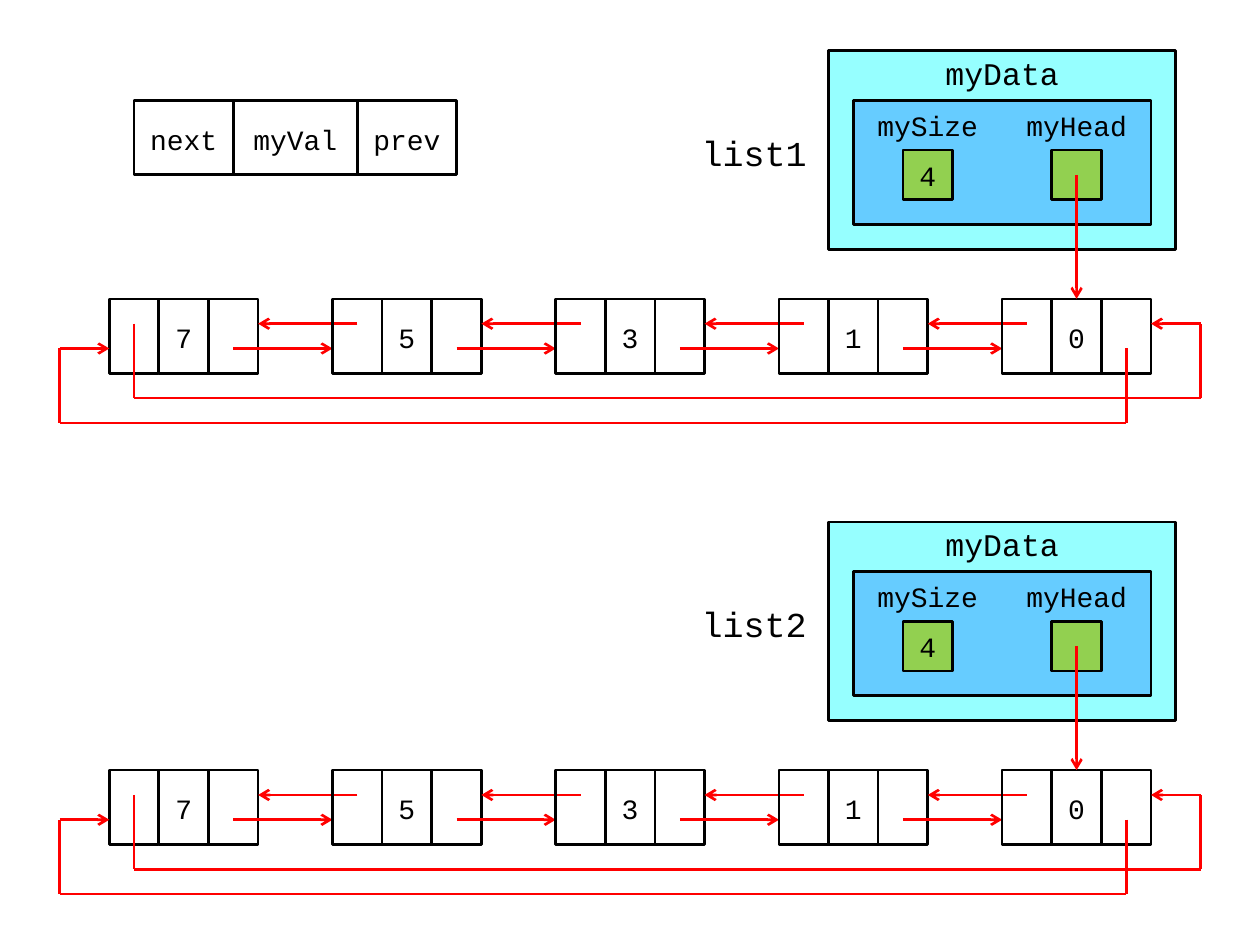
from itertools import pairwise

from lxml.etree import SubElement
from pptx import Presentation
from pptx.dml.color import RGBColor
from pptx.enum.shapes import MSO_CONNECTOR as Connector, MSO_SHAPE as Shape
from pptx.enum.text import MSO_ANCHOR as Anchor, PP_ALIGN as Align
from pptx.oxml.ns import qn
from pptx.util import Inches, Pt

# Everything sits on a half-centimetre grid.
UNIT = 0.5 / 2.54
LEFT, TOP = 0.08, 0.01
LIST_STEP = 19
NODE_STEP = 9
VALUES = ["7", "5", "3", "1", "0"]

BLACK, RED = "000000", "FF0000"
CYAN, BLUE, GREEN = "96FFFF", "66CCFF", "92D050"
CELL_INSETS = (0.1, 0.06, 0.1, 0.04)
PLAIN_INSETS = (0.1, 0.05, 0.1, 0.05)


def color(value):
    """Turn a hex string into a colour."""
    return RGBColor.from_string(value)


def grid(column, row):
    """Give the slide position of a grid point."""
    return Inches(LEFT + column * UNIT), Inches(TOP + row * UNIT)


def area(column, row, width, height):
    """Give position and size of a grid area."""
    return *grid(column, row), Inches(width * UNIT), Inches(height * UNIT)


def write(shape, text, size=16, insets=PLAIN_INSETS):
    """Write centred text into a shape."""
    frame = shape.text_frame
    frame.word_wrap = True
    frame.vertical_anchor = Anchor.MIDDLE
    (frame.margin_left, frame.margin_top,
     frame.margin_right, frame.margin_bottom) = map(Inches, insets)
    paragraph = frame.paragraphs[0]
    paragraph.alignment = Align.CENTER
    run = paragraph.add_run()
    run.text = text
    run.font.name = "Courier New"
    run.font.size = Pt(size)
    run.font.color.rgb = color(BLACK)


def add_box(slide, place, text="", kind=Shape.RECTANGLE, fill=None,
            outline=True, insets=PLAIN_INSETS):
    """Add a box, optionally filled, outlined and with text."""
    shape = slide.shapes.add_shape(kind, *area(*place))
    shape.shadow.inherit = False
    if fill:
        shape.fill.solid()
        shape.fill.fore_color.rgb = color(fill)
    else:
        shape.fill.background()
    if outline:
        shape.line.color.rgb = color(BLACK)
        shape.line.width = Pt(1.5)
    else:
        shape.line.fill.background()
    if text:
        write(shape, text, insets=insets)


def add_label(slide, place, text, size, insets):
    """Add a free-standing text box."""
    write(slide.shapes.add_textbox(*area(*place)), text, size, insets)


def add_arrow(slide, *points):
    """Add lines through grid points, with an arrowhead at the last one."""
    for start, end in pairwise(points):
        line = slide.shapes.add_connector(
            Connector.STRAIGHT, *grid(*start), *grid(*end))
        line.line.color.rgb = color(RED)
        line.line.width = Pt(1.5)
        SubElement(line.element.spPr, qn("a:effectLst"))
    SubElement(line.line._get_or_add_ln(), qn("a:tailEnd"), type="arrow")


def add_cells(slide, column, row, texts, widths):
    """Add adjoining cells of a node."""
    for text, width in zip(texts, widths):
        add_box(slide, (column, row, width, 3), text, insets=CELL_INSETS)
        column += width


def add_header(slide, name, top):
    """Add the list name and its data block."""
    process = Shape.FLOWCHART_PROCESS
    add_label(slide, (27, top + 2, 6, 4), name, 20, (0.08, 0.04, 0.08, 0))
    add_box(slide, (33, top, 14, 8), kind=process, fill=CYAN)
    add_box(slide, (34, top + 2, 12, 5), kind=process, fill=BLUE)
    add_label(slide, (37, top, 6, 2), "myData", 18, (0.08, 0, 0.08, 0.04))
    for column, field, value in [(34, "mySize", "4"), (40, "myHead", "")]:
        add_box(slide, (column, top + 2, 6, 2), field, process, outline=False)
        add_box(slide, (column + 2, top + 4, 2, 2), value, fill=GREEN)
    add_arrow(slide, (43, top + 5), (43, top + 10))


def add_chain(slide, top):
    """Add the linked nodes and the arrows between them."""
    upper, lower = top + 1, top + 2
    first, last = 4, 4 + NODE_STEP * (len(VALUES) - 1)
    for index, value in enumerate(VALUES):
        column = first + index * NODE_STEP
        add_cells(slide, column, top, ["", value, ""], [2, 2, 2])
        if column < last:
            following = column + NODE_STEP
            add_arrow(slide, (column + 5, lower), (following, lower))
            add_arrow(slide, (following + 1, upper), (column + 6, upper))
    add_arrow(slide, (first + 1, upper), (first + 1, top + 4),
              (last + 8, top + 4), (last + 8, upper), (last + 6, upper))
    add_arrow(slide, (last + 5, lower), (last + 5, top + 5),
              (first - 2, top + 5), (first - 2, lower), (first, lower))


def main():
    """Build the slide with two circular linked lists."""
    presentation = Presentation()
    presentation.slide_width = Inches(10)
    presentation.slide_height = Inches(7.5)
    slide = presentation.slides.add_slide(presentation.slide_layouts[6])
    add_cells(slide, 5, 4, ["next", "myVal", "prev"], [4, 5, 4])
    for index, name in enumerate(["list1", "list2"]):
        top = 2 + index * LIST_STEP
        add_chain(slide, top + 10)
        add_header(slide, name, top)
    presentation.save("out.pptx")


main()
